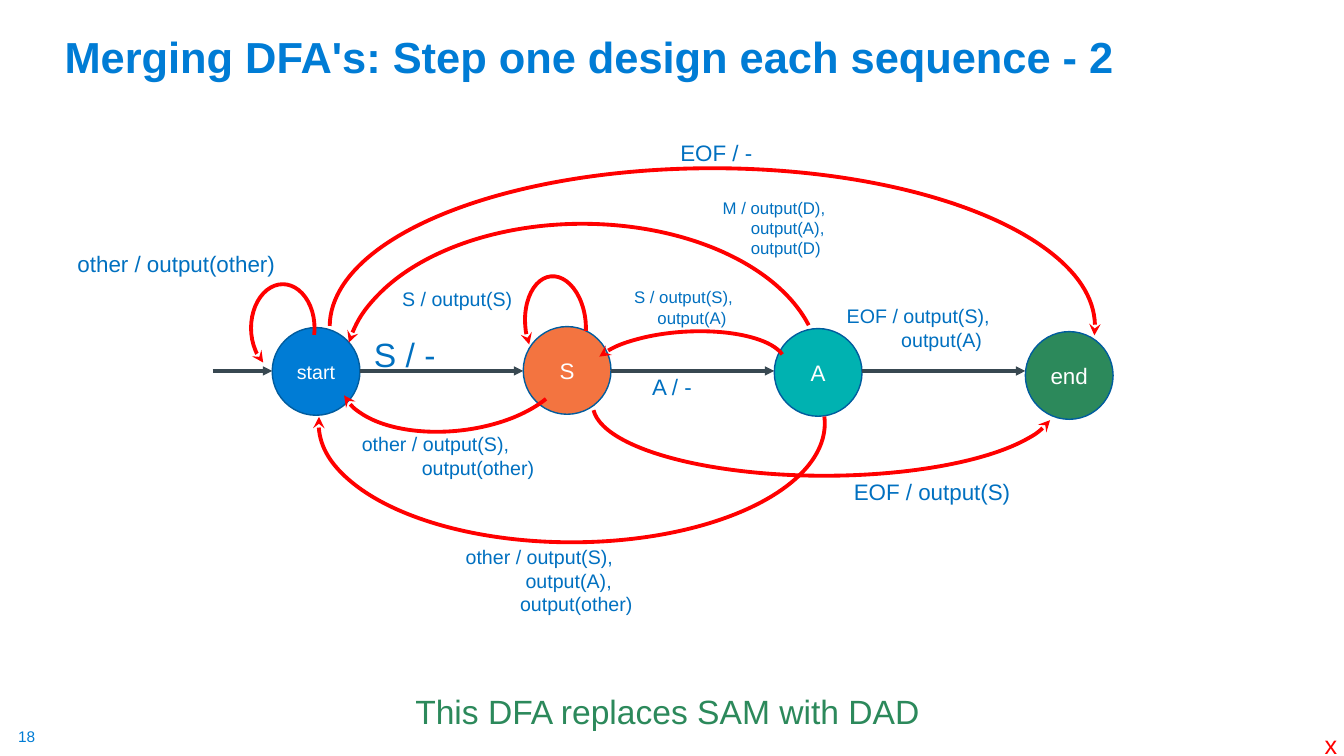
from lxml.etree import SubElement
from pptx import Presentation
from pptx.dml.color import RGBColor
from pptx.enum.shapes import MSO_CONNECTOR as Connector, MSO_SHAPE as Shape
from pptx.enum.text import MSO_ANCHOR as Anchor, MSO_AUTO_SIZE as AutoSize, PP_ALIGN as Align
from pptx.oxml.ns import qn
from pptx.util import Inches, Pt

BLUE = RGBColor(0x00, 0x7C, 0xD5)
LABEL_BLUE = RGBColor(0x00, 0x70, 0xC0)
OUTLINE_BLUE = RGBColor(0x00, 0x5C, 0x9E)
ORANGE = RGBColor(0xF3, 0x74, 0x40)
TEAL = RGBColor(0x00, 0xB2, 0xB1)
GREEN = RGBColor(0x2C, 0x89, 0x5B)
SLATE = RGBColor(0x38, 0x48, 0x51)
RED = RGBColor(0xFF, 0x00, 0x00)
WHITE = RGBColor(0xFF, 0xFF, 0xFF)

COLUMNS, ROWS = 13.33, 7.5
STATE_SIZE, STATE_LEFT, STATE_STEP = 0.87, 2.7, 2.49
ARROW_ROW = 3.68

STATES = [
    ("start", 3.25, BLUE, 14),
    ("S", 3.24, ORANGE, 16),
    ("A", 3.26, TEAL, 16),
    ("end", 3.29, GREEN, 16),
]

ARCS = [
    ((5.88, 3.31, 4.59, 1.41), 0, "v", (108.82, 213.64)),
    ((2.49, 2.82, 0.63, 0.87), 0, "h", (100.64, 36.25)),
    ((3.42, 2.22, 4.71, 2.88), 180, "v", (114.56, 212.13)),
    ((3.92, 2.57, 1.16, 2.25), 83.8, "hv", (67.32, 158.61)),
    ((3.16, 3.02, 5.02, 2.36), 180, "", (107.07, 0.89)),
    ((3.27, 1.67, 7.59, 3.14), 180, "hv", (108.05, 0.8)),
    ((5.21, 2.74, 0.6, 0.95), 354.6, "h", (97.26, 19.54)),
    ((5.85, 3.29, 1.94, 0.72), 356.8, "h", (110.94, 209.71)),
]

LABELS = [
    ("S / -", (3.61, 3.26, 0.91, 0.5), 24, ()),
    ("A / -", (6.37, 3.65, 0.6, 0.37), 16, ()),
    ("M / output(D),\noutput(A),\noutput(D)", (7.07, 1.91, 1.23, 0.71), 12, (20, 20)),
    ("EOF / output(S)", (8.37, 4.69, 1.78, 0.37), 16, ()),
    ("other / output(other)", (0.67, 2.43, 2.19, 0.37), 16, ()),
    ("other / output(S),\noutput(other)", (3.49, 4.24, 1.92, 0.57), 14, (42.8,)),
    ("other / output(S),\noutput(A),\noutput(other)", (4.52, 5.36, 1.86, 0.81), 14, (42.8, 38.9)),
    ("EOF / output(S),\noutput(A)", (8.3, 2.97, 1.63, 0.57), 14, (38.9,)),
    ("EOF / -", (6.65, 1.33, 0.93, 0.37), 16, ()),
    ("S / output(S)", (3.89, 2.8, 1.3, 0.34), 14, ()),
    ("S / output(S),\noutput(A)", (6.19, 2.8, 1.19, 0.5), 12, (16.7,)),
]


class Diagram:
    """Draws styled state-machine elements on a grid of the current slide."""

    def __init__(self, presentation, font="Arial"):
        self.font = font
        self.column = presentation.slide_width / COLUMNS
        self.row = presentation.slide_height / ROWS
        self.slide = presentation.slides.add_slide(presentation.slide_layouts[5])

    def grid(self, left, top, width, height):
        return (round(left * self.column), round(top * self.row),
                round(width * self.column), round(height * self.row))

    def set_text(self, shape, text, size, color, bold=False, align=Align.LEFT):
        shape.text_frame.text = text
        for paragraph in shape.text_frame.paragraphs:
            paragraph.alignment = align
            for run in paragraph.runs:
                run.font.name = self.font
                run.font.size = Pt(size)
                run.font.bold = bold
                run.font.color.rgb = color

    def title(self, text, box):
        shape = self.slide.shapes.title
        shape.left, shape.top, shape.width, shape.height = self.grid(*box)
        self.set_text(shape, text, 31, BLUE, bold=True)
        shape.text_frame.auto_size = AutoSize.NONE
        shape.text_frame.vertical_anchor = Anchor.BOTTOM
        shape.text_frame.paragraphs[0].line_spacing = 0.9

    def label(self, text, box, size, indents=(), color=LABEL_BLUE):
        shape = self.slide.shapes.add_textbox(*self.grid(*box))
        self.set_text(shape, text, size, color)
        shape.text_frame.word_wrap = False
        shape.text_frame.auto_size = AutoSize.SHAPE_TO_FIT_TEXT
        for paragraph, indent in zip(shape.text_frame.paragraphs[1:], indents):
            paragraph._p.get_or_add_pPr().set("marL", str(Pt(indent)))
        return shape

    def page_number(self, text, box):
        frame = self.label(text, box, 11, color=BLUE).text_frame
        frame.margin_left = frame.margin_right = frame.margin_top = frame.margin_bottom = 0

    def state(self, text, box, fill, size):
        shape = self.slide.shapes.add_shape(Shape.OVAL, *self.grid(*box))
        shape.shadow.inherit = False
        shape.fill.solid()
        shape.fill.fore_color.rgb = fill
        shape.line.color.rgb = OUTLINE_BLUE
        shape.line.width = Pt(1)
        self.set_text(shape, text, size, WHITE, align=Align.CENTER)
        shape.text_frame.vertical_anchor = Anchor.MIDDLE
        shape.text_frame.word_wrap = False

    def stroke(self, shape, color, width, head):
        shape.line.color.rgb = color
        shape.line.width = Pt(width)
        outline = shape.element.spPr.find(qn("a:ln"))
        SubElement(outline, qn("a:tailEnd")).set("type", head)

    def arrow(self, start, end):
        begin_x, begin_y, end_x, end_y = self.grid(start, ARROW_ROW, end, ARROW_ROW)
        shape = self.slide.shapes.add_connector(
            Connector.STRAIGHT, begin_x, begin_y, end_x, end_y)
        self.stroke(shape, SLATE, 2.25, "triangle")
        SubElement(shape.element.spPr, qn("a:effectLst"))

    def arc(self, box, rotation, flips, angles):
        shape = self.slide.shapes.add_shape(Shape.ARC, *self.grid(*box))
        shape.shadow.inherit = False
        shape.fill.background()
        shape.rotation = rotation
        for index, angle in enumerate(angles):
            shape.adjustments[index] = angle
        for axis in flips:
            shape.element.spPr.find(qn("a:xfrm")).set("flip" + axis.upper(), "1")
        self.stroke(shape, RED, 2.75, "stealth")


def main():
    presentation = Presentation()
    presentation.slide_width, presentation.slide_height = Inches(COLUMNS), Inches(ROWS)
    diagram = Diagram(presentation)
    diagram.title("Merging DFA's: Step one design each sequence - 2", (0.54, 0.09, 11.5, 0.78))
    diagram.page_number("18", (0.18, 7.21, 0.19, 0.19))
    diagram.label("This DFA replaces SAM with DAD", (4.02, 6.81, 5.25, 0.5), 24, color=GREEN)
    diagram.label("x", (13.04, 7.19, 0.33, 0.4), 18, color=RED)

    diagram.arrow(2.11, STATE_LEFT)
    for index, (name, top, fill, size) in enumerate(STATES):
        left = STATE_LEFT + index * STATE_STEP
        diagram.state(name, (left, top, STATE_SIZE, STATE_SIZE), fill, size)
        if index < len(STATES) - 1:
            diagram.arrow(left + STATE_SIZE, left + STATE_STEP)
    for arc in ARCS:
        diagram.arc(*arc)
    for label in LABELS:
        diagram.label(*label)
    presentation.save("out.pptx")


if __name__ == "__main__":
    main()
